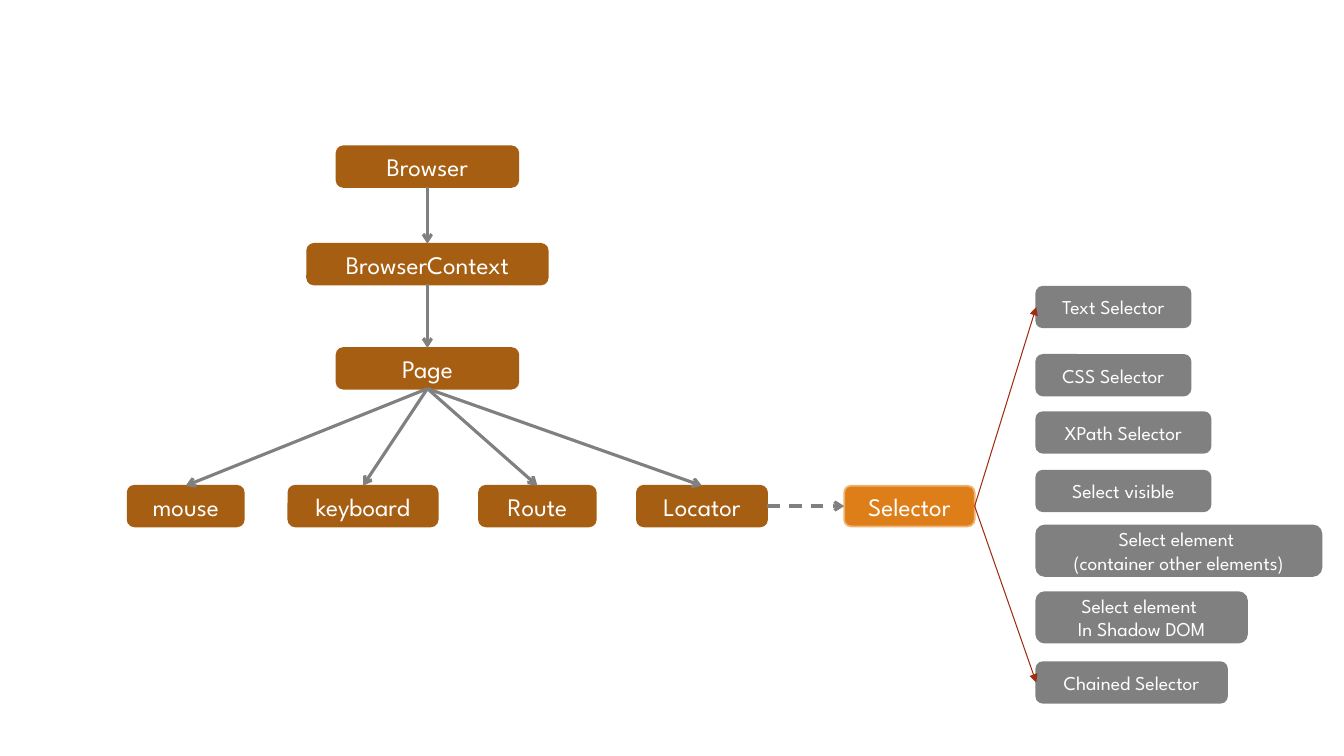
"""Build a slide of the browser object tree and its selector kinds."""
from dataclasses import dataclass

from pptx import Presentation
from pptx.dml.color import RGBColor
from pptx.enum.dml import MSO_LINE
from pptx.enum.shapes import MSO_CONNECTOR, MSO_SHAPE
from pptx.enum.text import MSO_ANCHOR, PP_ALIGN
from pptx.oxml.ns import qn
from pptx.shapes.autoshape import Shape
from pptx.slide import Slide
from pptx.util import Pt
from lxml import etree

ROUNDED = MSO_SHAPE.ROUNDED_RECTANGLE
STRAIGHT = MSO_CONNECTOR.STRAIGHT
DASH = MSO_LINE.DASH
MIDDLE = MSO_ANCHOR.MIDDLE
CENTER = PP_ALIGN.CENTER
TOP, LEFT, BOTTOM, RIGHT = range(4)


@dataclass(frozen=True)
class Theme:
    font: str = "League Spartan"
    text: str = "FFFFFF"
    brown: str = "A65E12"
    orange: str = "DE7E18"
    peach: str = "F0B270"
    gray: str = "808080"
    red: str = "9E2E0F"
    node_size: float = 18
    selector_size: float = 14
    border: float = 1.25


THEME = Theme()


@dataclass(frozen=True)
class Box:
    text: str
    left: float
    top: float
    width: float
    height: float = 29
    fill: str = THEME.brown
    line: str = THEME.brown
    size: float = THEME.node_size


@dataclass(frozen=True)
class Arrow:
    start: str
    start_site: int
    end: str
    end_site: int
    color: str = THEME.gray
    width: float = 2.25
    head: str = "arrow"
    dashed: bool = False


TREE_CENTER, ROW_TOP, SELECTOR_LEFT = 305.3, 347, 740.2

TRUNK = [
    Box(text, TREE_CENTER - width / 2, top, width)
    for text, top, width in (
        ("Browser", 104.5, 129.8),
        ("BrowserContext", 174.2, 171.8),
        ("Page", 248.6, 129.8),
    )
]
ROW = [
    Box(text, left, ROW_TOP, width)
    for text, left, width in (
        ("mouse", 91.2, 82.9),
        ("keyboard", 206, 106.6),
        ("Route", 342.2, 83.4),
        ("Locator", 455, 92.9),
    )
]
SELECTOR = Box("Selector", 603, ROW_TOP, 93.2, fill=THEME.orange, line=THEME.peach)
KINDS = [
    Box(text, SELECTOR_LEFT, top, width, height, THEME.gray, THEME.gray, THEME.selector_size)
    for text, top, width, height in (
        ("Text Selector", 204.8, 110.2, 29),
        ("CSS Selector", 253.5, 110.2, 29),
        ("XPath Selector", 294.4, 124.5, 29),
        ("Select visible", 336.2, 124.5, 29),
        ("Select element \n(container other elements)", 375.4, 203.7, 36),
        ("Select element \nIn Shadow DOM", 423, 150.5, 36),
        ("Chained Selector", 473, 136.3, 29),
    )
]
ARROWS = [
    *(Arrow(a.text, BOTTOM, b.text, TOP) for a, b in zip(TRUNK, TRUNK[1:])),
    *(Arrow("Page", BOTTOM, child.text, TOP) for child in ROW),
    Arrow("Locator", RIGHT, "Selector", LEFT, dashed=True),
    *(
        Arrow("Selector", RIGHT, kind.text, LEFT, THEME.red, 0.75, "triangle")
        for kind in (KINDS[0], KINDS[-1])
    ),
]


def add_box(slide: Slide, box: Box) -> Shape:
    sp = slide.shapes.add_shape(
        ROUNDED, Pt(box.left), Pt(box.top), Pt(box.width), Pt(box.height)
    )
    sp.shadow.inherit = False
    sp.fill.solid()
    sp.fill.fore_color.rgb = RGBColor.from_string(box.fill)
    sp.line.color.rgb = RGBColor.from_string(box.line)
    sp.line.width = Pt(THEME.border)
    tf = sp.text_frame
    tf.word_wrap = True
    tf.vertical_anchor = MIDDLE
    tf.text = box.text
    for p in tf.paragraphs:
        p.alignment = CENTER
        p.font.name = THEME.font
        p.font.size = Pt(box.size)
        p.font.color.rgb = RGBColor.from_string(THEME.text)
    return sp


def add_arrow(slide: Slide, arrow: Arrow, nodes: dict[str, Shape]) -> None:
    cxn = slide.shapes.add_connector(STRAIGHT, Pt(0), Pt(0), Pt(0), Pt(0))
    cxn.begin_connect(nodes[arrow.start], arrow.start_site)
    cxn.end_connect(nodes[arrow.end], arrow.end_site)
    cxn.line.color.rgb = RGBColor.from_string(arrow.color)
    cxn.line.width = Pt(arrow.width)
    if arrow.dashed:
        cxn.line.dash_style = DASH
    sp_pr = cxn.element.spPr
    etree.SubElement(sp_pr.find(qn("a:ln")), qn("a:tailEnd"), type=arrow.head)
    etree.SubElement(sp_pr, qn("a:effectLst"))


def main() -> None:
    prs = Presentation()
    prs.slide_width, prs.slide_height = Pt(960), Pt(540)
    slide = prs.slides.add_slide(prs.slide_layouts[6])
    nodes = {box.text: add_box(slide, box) for box in [*TRUNK, *ROW, SELECTOR, *KINDS]}
    for arrow in ARROWS:
        add_arrow(slide, arrow, nodes)
    prs.save("out.pptx")


if __name__ == "__main__":
    main()
